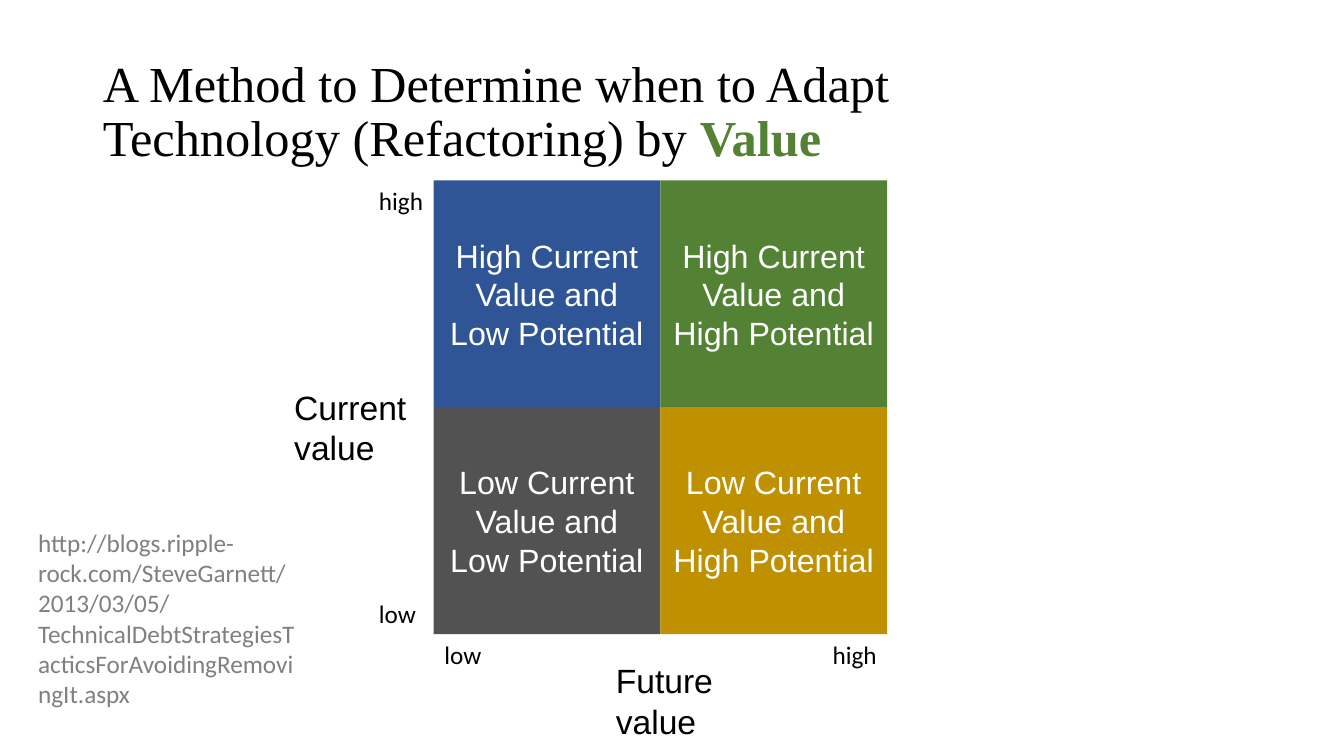
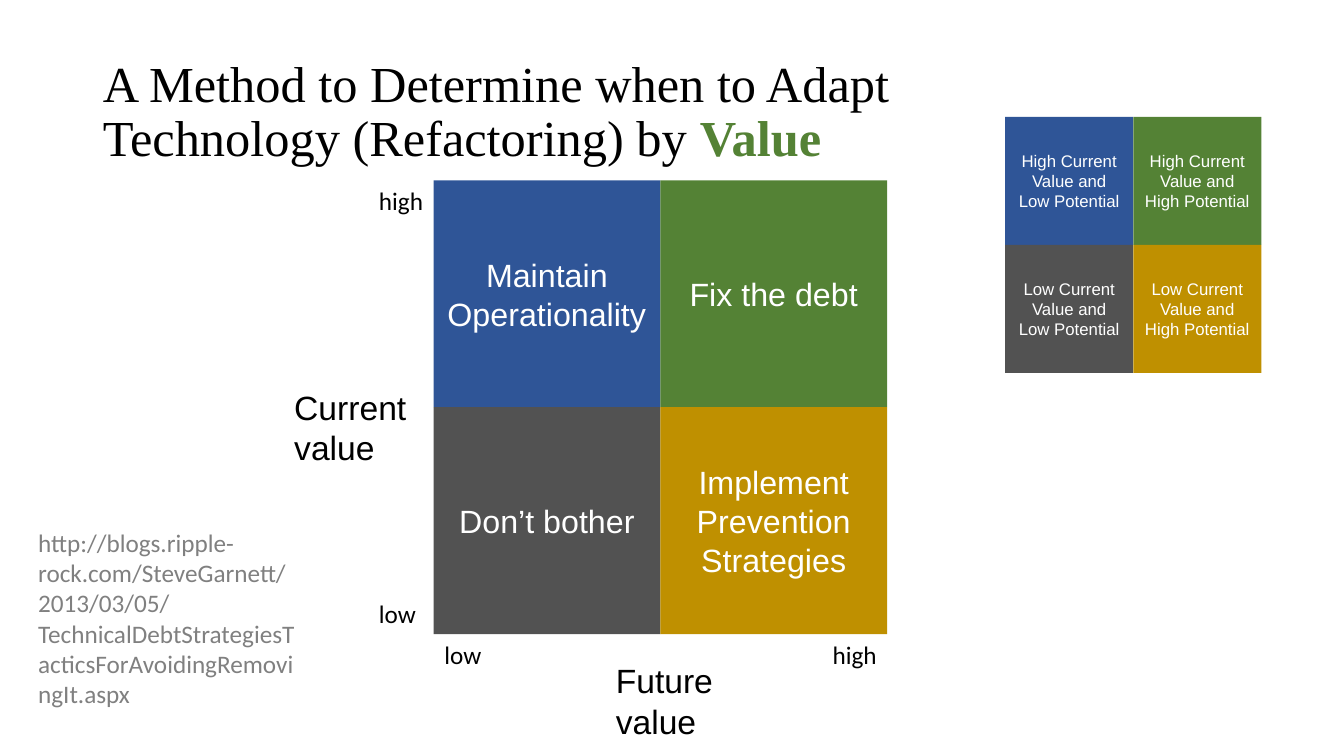
from dataclasses import dataclass

from pptx import Presentation
from pptx.dml.color import RGBColor
from pptx.enum.shapes import MSO_SHAPE
from pptx.enum.text import MSO_ANCHOR, MSO_AUTO_SIZE, PP_ALIGN
from pptx.slide import Slide, SlideLayout
from pptx.text.text import Font
from pptx.util import Emu, Pt

RECT = MSO_SHAPE.RECTANGLE
MIDDLE = MSO_ANCHOR.MIDDLE
LEFT, CENTER = PP_ALIGN.LEFT, PP_ALIGN.CENTER
FIXED, GROW = MSO_AUTO_SIZE.NONE, MSO_AUTO_SIZE.SHAPE_TO_FIT_TEXT
EMU_PER_PX = 9144


@dataclass(frozen=True)
class TextStyle:
    name: str
    size: int
    color: str


@dataclass(frozen=True)
class Theme:
    title: TextStyle = TextStyle("Times New Roman", 36, "000000")
    axis: TextStyle = TextStyle("Arial", 24, "000000")
    level: TextStyle = TextStyle("Calibri", 18, "000000")
    source: TextStyle = TextStyle("Calibri", 18, "808080")
    quadrant: TextStyle = TextStyle("Arial", 23, "FFFFFF")
    small_quadrant: TextStyle = TextStyle("Arial", 12, "FFFFFF")
    accent: str = "548235"
    quadrant_fills: tuple[str, ...] = ("2F5597", "548235", "525252", "BF9000")


THEME = Theme()


@dataclass(frozen=True)
class Box:
    left: int
    top: int
    width: int
    height: int

    def emu(self) -> tuple[Emu, ...]:
        return tuple(px(n) for n in (self.left, self.top, self.width, self.height))


@dataclass(frozen=True)
class Label:
    text: str
    box: Box
    style: TextStyle
    wrap: bool = True


@dataclass(frozen=True)
class Matrix:
    """Two by two squares, with texts given row by row."""
    left: int
    top: int
    side: int
    texts: tuple[str, ...]
    style: TextStyle


TITLE_BOX = Box(92, 40, 990, 145)
TITLE = "A Method to Determine when to Adapt Technology (Refactoring) by "
TITLE_ACCENT = "Value"

LABELS = (
    Label("http://blogs.ripple-rock.com/SteveGarnett/2013/03/05/"
          "TechnicalDebtStrategiesTacticsForAvoidingRemovingIt.aspx",
          Box(28, 518, 279, 162), THEME.source),
    Label("Current value", Box(282, 379, 134, 91), THEME.axis),
    Label("Future value", Box(601, 650, 124, 91), THEME.axis),
    Label("high", Box(366, 179, 65, 40), THEME.level, wrap=False),
    Label("low", Box(366, 589, 57, 40), THEME.level, wrap=False),
    Label("low", Box(431, 629, 57, 40), THEME.level, wrap=False),
    Label("high", Box(816, 629, 65, 40), THEME.level, wrap=False),
)

VALUES = tuple(f"{current} Current Value and {potential} Potential"
               for current in ("High", "Low") for potential in ("Low", "High"))
ACTIONS = ("Maintain Operationality", "Fix the debt",
           "Don’t bother", "Implement Prevention Strategies")


def main_matrix(texts: tuple[str, ...]) -> Matrix:
    return Matrix(430, 179, 225, texts, THEME.quadrant)


SLIDES = (
    (main_matrix(VALUES),),
    (main_matrix(ACTIONS), Matrix(997, 116, 127, VALUES, THEME.small_quadrant)),
)


def px(n: int) -> Emu:
    return Emu(n * EMU_PER_PX)


def rgb(color: str) -> RGBColor:
    return RGBColor.from_string(color)


def apply_style(font: Font, style: TextStyle) -> None:
    font.name = style.name
    font.size = Pt(style.size)
    font.color.rgb = rgb(style.color)


def place_layout_title(layout: SlideLayout) -> None:
    sp = layout.placeholders[0]
    sp.left, sp.top, sp.width, sp.height = TITLE_BOX.emu()
    sp.text_frame.vertical_anchor = MIDDLE


def add_title(slide: Slide) -> None:
    tf = slide.shapes.title.text_frame
    tf.auto_size = FIXED
    p = tf.paragraphs[0]
    p.alignment = LEFT
    p.line_spacing = 0.9
    apply_style(p.font, THEME.title)
    p.add_run().text = TITLE
    r = p.add_run()
    r.text = TITLE_ACCENT
    r.font.bold = True
    r.font.color.rgb = rgb(THEME.accent)


def add_label(slide: Slide, label: Label) -> None:
    tf = slide.shapes.add_textbox(*label.box.emu()).text_frame
    tf.word_wrap = label.wrap
    tf.auto_size = GROW
    p = tf.paragraphs[0]
    p.text = label.text
    apply_style(p.font, label.style)


def add_matrix(slide: Slide, matrix: Matrix) -> None:
    group = slide.shapes.add_group_shape()
    for i, (text, fill) in enumerate(zip(matrix.texts, THEME.quadrant_fills)):
        row, col = divmod(i, 2)
        box = Box(matrix.left + col * matrix.side, matrix.top + row * matrix.side,
                  matrix.side, matrix.side)
        sp = group.shapes.add_shape(RECT, *box.emu())
        sp.shadow.inherit = False
        sp.fill.solid()
        sp.fill.fore_color.rgb = rgb(fill)
        sp.line.fill.background()
        tf = sp.text_frame
        tf.word_wrap = True
        tf.vertical_anchor = MIDDLE
        p = tf.paragraphs[0]
        p.text = text
        p.alignment = CENTER
        apply_style(p.font, matrix.style)


def main() -> None:
    prs = Presentation()
    prs.slide_width, prs.slide_height = px(1333), px(750)
    layout = prs.slide_layouts.get_by_name("Title Only")
    place_layout_title(layout)
    for matrices in SLIDES:
        slide = prs.slides.add_slide(layout)
        add_title(slide)
        for label in LABELS:
            add_label(slide, label)
        for matrix in matrices:
            add_matrix(slide, matrix)
    prs.save("out.pptx")


if __name__ == "__main__":
    main()
